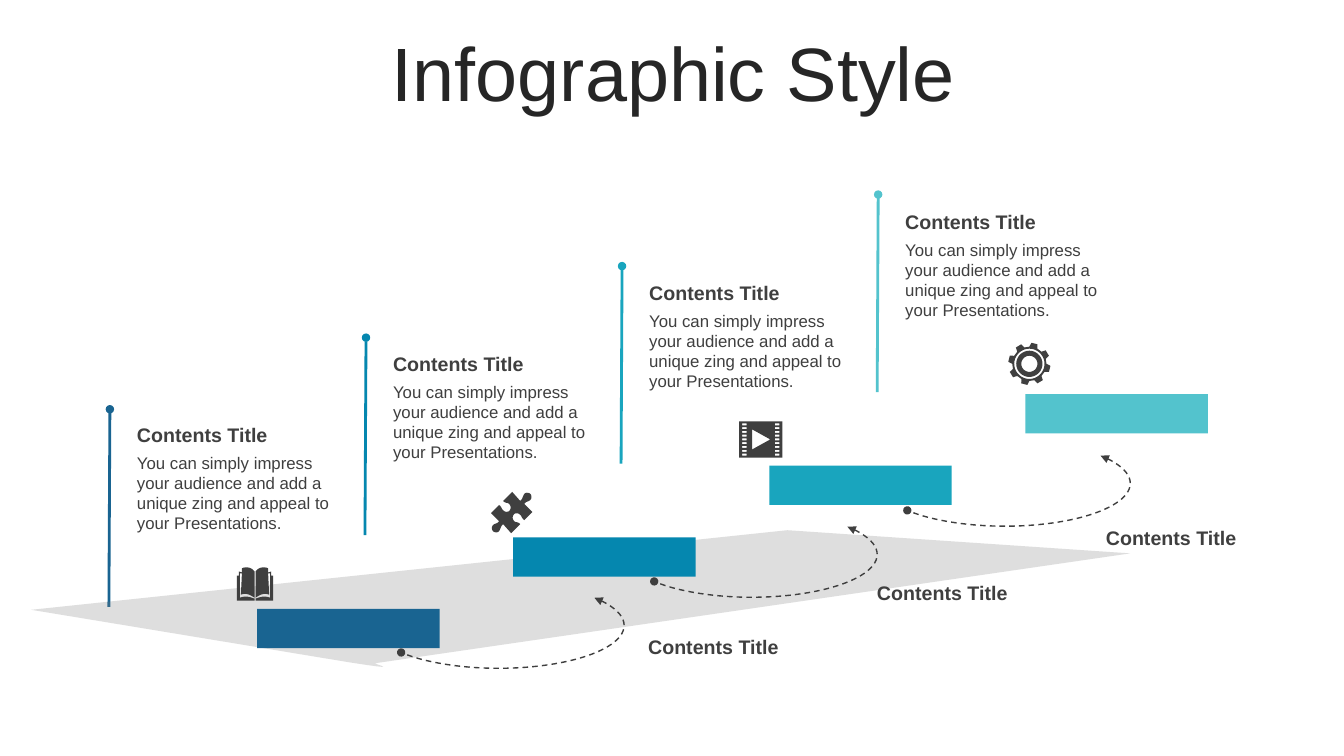
from dataclasses import dataclass
from math import cos, radians, sin

from lxml.etree import SubElement
from pptx import Presentation
from pptx.dml.color import RGBColor
from pptx.enum.dml import MSO_LINE
from pptx.enum.shapes import MSO_CONNECTOR, MSO_SHAPE
from pptx.enum.text import MSO_ANCHOR, MSO_AUTO_SIZE, PP_ALIGN
from pptx.oxml.ns import qn
from pptx.util import Inches, Pt

FONT = "Arial"
DARK = "3F3F3F"
HEADING = "Contents Title"
BODY = "You can simply impress your audience and add a unique zing and appeal to your Presentations."

Point = tuple[float, float]
Outline = list[Point]


@dataclass(frozen=True)
class Series:
    """Evenly stepped positions, in inches."""
    left: float
    top: float
    step_x: float
    step_y: float

    def at(self, index: int) -> Point:
        return self.left + index * self.step_x, self.top + index * self.step_y


STEP_COLORS = ["196491", "0587AF", "19A5BE", "53C3CD"]
PINS = Series(1.09, 4.06, 2.54, -0.71)
BARS = Series(2.55, 6.04, 2.54, -0.71)
TEXTS = Series(1.26, 4.15, 2.54, -0.705)
ARCS = Series(3.7, 5.78, 2.51, -0.705)
LABELS = Series(6.33, 6.25, 2.27, -0.54)


def color(hex_code: str) -> RGBColor:
    return RGBColor.from_string(hex_code)


def paint(shape, hex_code: str) -> None:
    shape.shadow.inherit = False
    shape.fill.solid()
    shape.fill.fore_color.rgb = color(hex_code)
    shape.line.fill.background()


def add_line_ends(line_format, **ends: str) -> None:
    """Set arrowheads, given as headEnd and tailEnd."""
    line = line_format._get_or_add_ln()
    for end, kind in ends.items():
        SubElement(line, qn(f"a:{end}"), type=kind)


def add_text(page, text: str, left: float, top: float, width: float, height: float,
             size: float, bold: bool = False, hex_code: str = DARK):
    box = page.shapes.add_textbox(Inches(left), Inches(top), Inches(width), Inches(height))
    frame = box.text_frame
    frame.word_wrap = True
    frame.auto_size = MSO_AUTO_SIZE.SHAPE_TO_FIT_TEXT
    span = frame.paragraphs[0].add_run()
    span.text = text
    span.font.name, span.font.size, span.font.bold = FONT, Pt(size), bold
    span.font.color.rgb = color(hex_code)
    return frame


def curve(start: Point, *controls: Point) -> Outline:
    """Sample chained cubic curves; each takes three more points."""
    points = [start]
    for index in range(0, len(controls), 3):
        knots = [points[-1], *controls[index:index + 3]]
        for tick in range(1, 9):
            t = tick / 8
            weights = ((1 - t) ** 3, 3 * t * (1 - t) ** 2, 3 * t * t * (1 - t), t ** 3)
            points.append((sum(w * x for w, (x, _) in zip(weights, knots)),
                           sum(w * y for w, (_, y) in zip(weights, knots))))
    return points


def rectangle(left: float, top: float, width: float, height: float) -> Outline:
    right, bottom = left + width, top + height
    return [(left, top), (right, top), (right, bottom), (left, bottom)]


def polar(center: Point, radius: float, degrees: float) -> Point:
    angle = radians(degrees)
    return center[0] + radius * cos(angle), center[1] + radius * sin(angle)


def add_outlines(page, outlines: list[Outline], hex_code: str = DARK):
    """Draw closed outlines as one shape; inner outlines become holes."""
    scaled = [[(Inches(x), Inches(y)) for x, y in outline] for outline in outlines]
    builder = page.shapes.build_freeform(*scaled[0][0])
    builder.add_line_segments(scaled[0][1:])
    for outline in scaled[1:]:
        builder.move_to(*outline[0])
        builder.add_line_segments(outline[1:])
    shape = builder.convert_to_shape()
    paint(shape, hex_code)
    return shape


def add_pin(page, index: int) -> None:
    x, top = PINS.at(index)
    pin = page.shapes.add_connector(MSO_CONNECTOR.STRAIGHT, Inches(x - 0.01),
                                    Inches(top + 1.96), Inches(x), Inches(top))
    pin.line.color.rgb = color(STEP_COLORS[index])
    pin.line.width = Pt(2)
    add_line_ends(pin.line, tailEnd="oval")
    SubElement(pin._element.spPr, qn("a:effectLst"))


def add_floor(page) -> None:
    tip = curve((3.46, 6.57), (4.03, 6.66), (3.71, 6.59), (3.72, 6.58))
    floor = add_outlines(page, [[(0.31, 6.05), *tip, (11.21, 5.49), (7.81, 5.26)]], "7F7F7F")
    for tint in floor._element.spPr.iter(qn("a:srgbClr")):
        SubElement(tint, qn("a:alpha"), val="25000")


def add_bar(page, index: int) -> None:
    left, top = BARS.at(index)
    bar = page.shapes.add_shape(MSO_SHAPE.RECTANGLE, Inches(left), Inches(top),
                                Inches(1.81), Inches(0.39))
    paint(bar, STEP_COLORS[index])


def add_arc(page, index: int) -> None:
    left, top = ARCS.at(index)
    arc = page.shapes.add_shape(MSO_SHAPE.ARC, Inches(left), Inches(top),
                                Inches(2.49), Inches(0.85))
    arc.adjustments[0], arc.adjustments[1] = 206.33, 98.7
    arc.shadow.inherit = False
    arc.fill.background()
    arc.line.color.rgb = color(DARK)
    arc.line.width = Pt(1)
    arc.line.dash_style = MSO_LINE.DASH
    add_line_ends(arc.line, headEnd="triangle", tailEnd="oval")


def add_puzzle(page) -> None:
    half = [
        *curve((5.26, 4.9), (5.27, 4.91), (5.28, 4.94), (5.26, 4.96),
               (5.24, 4.98), (5.22, 4.97), (5.2, 5)),
        (5.28, 5.08),
        *curve((5.2, 5.16), (5.17, 5.14), (5.18, 5.12), (5.15, 5.1),
               (5.14, 5.09), (5.11, 5.09), (5.1, 5.1), (5.08, 5.12), (5.08, 5.15), (5.1, 5.17),
               (5.12, 5.19), (5.13, 5.17), (5.16, 5.2)),
        (5.07, 5.29),
        *curve((4.99, 5.2), (4.96, 5.23), (4.97, 5.24), (4.95, 5.27),
               (4.93, 5.29), (4.9, 5.28), (4.89, 5.27)),
    ]
    turned = [(10.15 - x, 10.17 - y) for x, y in half]
    add_outlines(page, [half + turned])


def add_book(page) -> None:
    spine = 2.53
    cover = [(2.535, 5.96),
             *curve((2.535, 5.67), (2.56, 5.64), (2.58, 5.63), (2.61, 5.63),
                    (2.63, 5.63), (2.65, 5.63), (2.66, 5.64)),
             (2.66, 5.68), (2.69, 5.67), (2.69, 5.71), (2.71, 5.71), (2.71, 5.96)]
    page_edge = [*curve((2.535, 5.94), (2.59, 5.92), (2.62, 5.91), (2.68, 5.93)),
                 (2.68, 5.69), (2.66, 5.69),
                 *curve((2.67, 5.9), (2.62, 5.88), (2.58, 5.9), (2.535, 5.93))]
    right = [cover, page_edge]
    left = [[(2 * spine - x, y) for x, y in outline] for outline in right]
    add_outlines(page, right + left)


def add_film(page) -> None:
    holes = [rectangle(left, 4.2 + row * 0.0375, 0.045, 0.02)
             for row in range(9) for left in (7.36, 7.685)]
    play = [(7.46, 4.26), (7.46, 4.46), (7.64, 4.36)]
    add_outlines(page, [rectangle(7.33, 4.18, 0.43, 0.36), play, *holes])


def add_gear(page) -> None:
    center = (10.21, 3.61)
    tooth = [(0.17, -14), (0.21, -8.5), (0.21, 8.5), (0.17, 14)]
    teeth = [polar(center, radius, 45 * index - 76 + offset)
             for index in range(8) for radius, offset in tooth]
    rings = [[polar(center, radius, degrees) for degrees in range(0, 360, 10)]
             for radius in (0.15, 0.13, 0.08)]
    add_outlines(page, [teeth, *rings])


def main() -> None:
    deck = Presentation()
    deck.slide_width, deck.slide_height = Inches(13.33), Inches(7.5)
    page = deck.slides.add_slide(deck.slide_layouts[6])

    title = add_text(page, "Infographic Style", 0.35, 0.37, 12.66, 0.79, 54, hex_code="262626")
    title.auto_size = MSO_AUTO_SIZE.NONE
    title.vertical_anchor = MSO_ANCHOR.MIDDLE
    title.paragraphs[0].alignment = PP_ALIGN.CENTER
    title.paragraphs[0].line_spacing = 0.9

    steps = range(len(STEP_COLORS))
    for index in steps:
        add_pin(page, index)
    add_floor(page)
    for index in steps:
        add_bar(page, index)
        left, top = TEXTS.at(index)
        add_text(page, BODY, left, top + 0.29, 2.19, 0.91, 12)
        add_text(page, HEADING, left, top, 2.19, 0.34, 14, bold=True)
    for index in steps[:-1]:
        add_arc(page, index)
        add_text(page, HEADING, *LABELS.at(index), 1.5, 0.34, 14, bold=True)
    for add_icon in (add_puzzle, add_book, add_film, add_gear):
        add_icon(page)
    deck.save("out.pptx")


if __name__ == "__main__":
    main()
